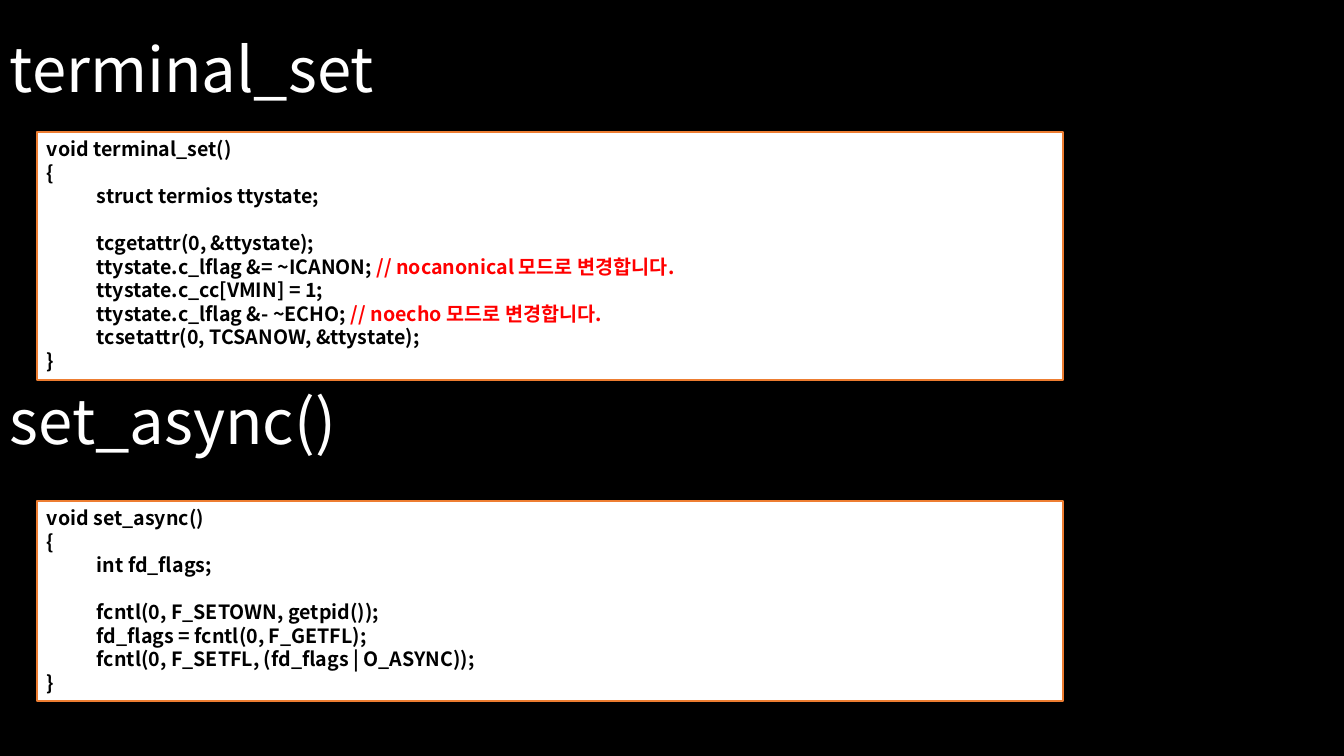
import dataclasses

import pptx
import pptx.dml.color
import pptx.enum.shapes
import pptx.enum.text
import pptx.oxml
import pptx.oxml.ns
import pptx.util

EMU_PER_PX = 914400 / 100.8
CODE_INDENT = 50


@dataclasses.dataclass(frozen=True)
class Theme:
    font: str = "Noto Sans CJK KR"
    background: str = "000000"
    heading: str = "FFFFFF"
    panel: str = "FFFFFF"
    border: str = "ED7D31"
    code: str = "000000"
    remark: str = "FF0000"
    heading_size: int = 44
    code_size: int = 14
    code_pitch: float = 16.8
    border_width: int = 1


THEME = Theme()

# Each body is a list of statement groups; a statement is (code, remark)
TERMINAL_SET_BODY = [
    [("struct termios ttystate;", "")],
    [
        ("tcgetattr(0, &ttystate);", ""),
        ("ttystate.c_lflag &= ~ICANON; ", "// nocanonical 모드로 변경합니다."),
        ("ttystate.c_cc[VMIN] = 1;", ""),
        ("ttystate.c_lflag &- ~ECHO; ", "// noecho 모드로 변경합니다."),
        ("tcsetattr(0, TCSANOW, &ttystate);", ""),
    ],
]
SET_ASYNC_BODY = [
    [("int fd_flags;", "")],
    [
        ("fcntl(0, F_SETOWN, getpid());", ""),
        ("fd_flags = fcntl(0, F_GETFL);", ""),
        ("fcntl(0, F_SETFL, (fd_flags | O_ASYNC));", ""),
    ],
]


def px(length):
    return pptx.util.Emu(round(length * EMU_PER_PX))


def rgb(value):
    return pptx.dml.color.RGBColor.from_string(value)


def apply_format(target, values):
    for name, value in values.items():
        setattr(target, name, value)


def add_run(paragraph, wording, color, size, bold):
    run = paragraph.add_run()
    run.text = wording
    apply_format(run.font, {"name": THEME.font, "size": pptx.util.Pt(size), "bold": bold})
    run.font.color.rgb = rgb(color)
    # Hangul takes the East Asian typeface
    properties = run.font._element
    east_asian = pptx.oxml.ns.qn("a:ea")
    properties.append(properties.makeelement(east_asian, {"typeface": THEME.font}))


def add_heading(slide, wording, top):
    heading = slide.shapes.add_textbox(px(0), px(top), px(1159), px(146)).text_frame
    apply_format(heading, {
        "word_wrap": True,
        "vertical_anchor": pptx.enum.text.MSO_ANCHOR.MIDDLE,
    })
    heading.paragraphs[0].line_spacing = 0.9
    add_run(heading.paragraphs[0], wording, THEME.heading, THEME.heading_size, False)


def add_code_line(paragraph, code, remark="", level=0, gap=0):
    apply_format(paragraph, {
        "alignment": pptx.enum.text.PP_ALIGN.LEFT,
        "level": level,
        "line_spacing": pptx.util.Pt(THEME.code_pitch),
        "space_before": pptx.util.Pt(gap),
    })
    margins = paragraph._p.get_or_add_pPr()
    margins.set("marL", str(px(CODE_INDENT * level)))
    margins.set("indent", "0")
    for wording, color in ((code, THEME.code), (remark, THEME.remark)):
        if wording:
            add_run(paragraph, wording, color, THEME.code_size, True)


def add_code_panel(slide, signature, body, top, height):
    panel = slide.shapes.add_shape(
        pptx.enum.shapes.MSO_SHAPE.RECTANGLE, px(37), px(top), px(1026), px(height))
    panel.shadow.inherit = False
    panel.fill.solid()
    panel.fill.fore_color.rgb = rgb(THEME.panel)
    panel.line.color.rgb = rgb(THEME.border)
    panel.line.width = pptx.util.Pt(THEME.border_width)
    listing = panel.text_frame
    apply_format(listing, {
        "word_wrap": True,
        "vertical_anchor": pptx.enum.text.MSO_ANCHOR.TOP,
    })

    # Signature and braces frame the indented statements
    add_code_line(listing.paragraphs[0], signature)
    add_code_line(listing.add_paragraph(), "{")
    for group_index, group in enumerate(body):
        for index, (code, remark) in enumerate(group):
            gap = THEME.code_pitch if group_index and index == 0 else 0
            add_code_line(listing.add_paragraph(), code, remark, level=1, gap=gap)
    add_code_line(listing.add_paragraph(), "}")


def main():
    deck = pptx.Presentation()
    apply_format(deck, {"slide_width": px(1344), "slide_height": px(756)})
    slide = deck.slides.add_slide(deck.slide_layouts[6])
    slide.background.fill.solid()
    slide.background.fill.fore_color.rgb = rgb(THEME.background)

    # Terminal mode
    add_heading(slide, "terminal_set", 0)
    add_code_panel(slide, "void terminal_set()", TERMINAL_SET_BODY, 132, 248)

    # Asynchronous input
    add_heading(slide, "set_async()", 352)
    add_code_panel(slide, "void set_async()", SET_ASYNC_BODY, 501, 200)

    deck.save("out.pptx")


if __name__ == "__main__":
    main()
